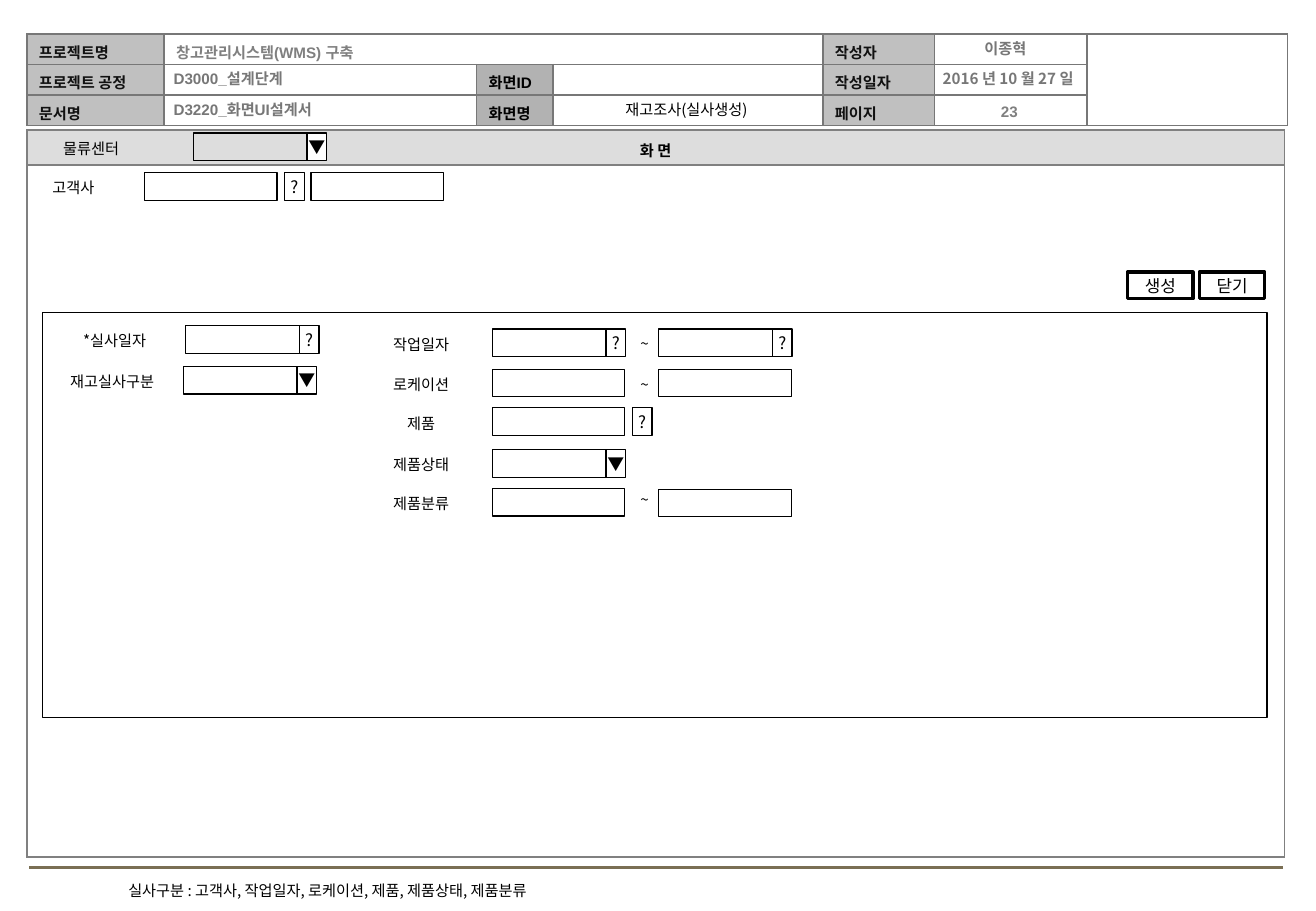
from lxml.etree import SubElement
from pptx import Presentation
from pptx.dml.color import RGBColor
from pptx.enum.shapes import MSO_CONNECTOR, MSO_SHAPE
from pptx.enum.text import MSO_ANCHOR, MSO_AUTO_SIZE, PP_ALIGN
from pptx.oxml import parse_xml
from pptx.oxml.ns import nsdecls, qn
from pptx.util import Cm, Pt

BLACK = RGBColor(0x00, 0x00, 0x00)
WHITE = RGBColor(0xFF, 0xFF, 0xFF)
INK = RGBColor(0x11, 0x11, 0x11)
DARK_GRAY = RGBColor(0x77, 0x77, 0x77)
GRAY = RGBColor(0x80, 0x80, 0x80)
LABEL_GRAY = RGBColor(0xC0, 0xC0, 0xC0)
SCREEN_GRAY = RGBColor(0xB2, 0xB2, 0xB2)
BAND_GRAY = RGBColor(0xDD, 0xDD, 0xDD)
BROWN = RGBColor(0x7A, 0x6F, 0x54)

KOREAN = "Noto Sans CJK KR"
LATIN = "Arial"

FIELD_WIDTH, FIELD_HEIGHT = 2.77, 0.58
LABEL_WIDTH, TEXT_HEIGHT = 2.97, 0.64
KEY_WIDTH = 0.41
KEY_INSIDE = FIELD_WIDTH - KEY_WIDTH + 0.02
KEY_OUTSIDE = 2.93
CONDITION_LEFT, RANGE_LEFT, TILDE_LEFT = 7.32, 13.77, 13.14

HEADER_COLUMNS = (2.87, 6.53, 1.6, 5.64, 2.34, 3.18, 4.19)
HEADER_CELLS = {
    (0, 0): ("프로젝트명", INK, LABEL_GRAY),
    (0, 1): ("창고관리시스템(WMS) 구축", GRAY, None),
    (0, 4): ("작성자", INK, LABEL_GRAY),
    (1, 0): ("프로젝트 공정", INK, LABEL_GRAY),
    (1, 2): ("화면ID", BLACK, SCREEN_GRAY),
    (1, 4): ("작성일자", INK, LABEL_GRAY),
    (2, 0): ("문서명", INK, LABEL_GRAY),
    (2, 2): ("화면명", BLACK, SCREEN_GRAY),
    (2, 4): ("페이지", INK, LABEL_GRAY),
}
# text, left, top, width, alignment, font, colour
HEADER_TEXTS = (
    ("D3000_설계단계", 3.38, 1.32, 13.77, PP_ALIGN.LEFT, LATIN, DARK_GRAY),
    ("D3220_화면UI설계서", 3.38, 1.98, 13.74, PP_ALIGN.LEFT, LATIN, DARK_GRAY),
    ("이종혁", 19.02, 0.69, 3.99, PP_ALIGN.CENTER, KOREAN, DARK_GRAY),
    ("2016 년 10 월 27 일", 19.08, 1.32, 3.99, PP_ALIGN.CENTER, KOREAN, DARK_GRAY),
    ("23", 19.51, 2.01, 3.18, PP_ALIGN.CENTER, LATIN, GRAY),
)
# label, left, top, key, key offset from the field
FIELDS = (
    ("물류센터", 1.07, 2.78, "▼", KEY_INSIDE),
    ("고객사", 0.05, 3.61, "?", KEY_OUTSIDE),
    ("*실사일자", 0.91, 6.81, "?", KEY_INSIDE),
    ("재고실사구분", 0.86, 7.66, "▼", KEY_INSIDE),
    ("작업일자", CONDITION_LEFT, 6.88, "?", KEY_INSIDE),
    ("로케이션", CONDITION_LEFT, 7.72, None, 0),
    ("제품", CONDITION_LEFT, 8.53, "?", KEY_OUTSIDE),
    ("제품상태", CONDITION_LEFT, 9.4, "▼", KEY_INSIDE),
    ("제품분류", CONDITION_LEFT, 10.21, None, 0),
)
# top of the end field, top of the tilde
RANGES = ((6.88, 6.86), (7.72, 7.72), (10.23, 10.13))


def write(frame, text, size=9, color=BLACK, font=KOREAN, bold=False, align=PP_ALIGN.CENTER):
    frame.text = text
    para = frame.paragraphs[0]
    para.alignment = align
    for span in para.runs:
        span.font.size = Pt(size)
        span.font.bold = bold
        span.font.color.rgb = color
        span.font.name = font
        SubElement(span.font._element, qn("a:ea"), typeface=KOREAN)


def add_text(page, text, left, top, width, **style):
    box = page.shapes.add_textbox(Cm(left), Cm(top), Cm(width), Cm(TEXT_HEIGHT))
    box.text_frame.word_wrap = True
    write(box.text_frame, text, **style)


def add_box(page, left, top, width, height, line=0.75, fill=None):
    box = page.shapes.add_shape(MSO_SHAPE.RECTANGLE, Cm(left), Cm(top), Cm(width), Cm(height))
    box.shadow.inherit = False
    box.line.color.rgb = BLACK
    box.line.width = Pt(line)
    paint(box.fill, fill)
    return box


def paint(fill, color):
    if color is None:
        fill.background()
    else:
        fill.solid()
        fill.fore_color.rgb = color


def add_button(page, text, left, top, width, height, line=0.75):
    button = add_box(page, left, top, width, height, line, WHITE)
    frame = button.text_frame
    frame.word_wrap = False
    frame.vertical_anchor = MSO_ANCHOR.MIDDLE
    frame.margin_left = frame.margin_right = Cm(0.05)
    frame.margin_top = frame.margin_bottom = Cm(0.1)
    write(frame, text, size=10)


def add_input(page, left, top):
    add_box(page, left, top, FIELD_WIDTH, FIELD_HEIGHT)


def add_field(page, label, left, top, key, key_offset):
    """Add a label, its input box and, if any, its lookup key."""
    align = PP_ALIGN.LEFT if label == "물류센터" else PP_ALIGN.CENTER
    add_text(page, label, left, top, LABEL_WIDTH, align=align)
    field_left = left + LABEL_WIDTH
    add_input(page, field_left, top)
    if key:
        add_button(page, key, field_left + key_offset, top, KEY_WIDTH, FIELD_HEIGHT)


def add_grid(page, left, top, columns, rows):
    frame = page.shapes.add_table(len(rows), len(columns), Cm(left), Cm(top),
                                  Cm(sum(columns)), Cm(sum(rows)))
    table = frame.table
    table.first_row = table.horz_banding = False
    for column, width in zip(table.columns, columns):
        column.width = Cm(width)
    for row, height in zip(table.rows, rows):
        row.height = Cm(height)
    return table


def format_cell(cell, border, fill, text, **style):
    cell.vertical_anchor = MSO_ANCHOR.MIDDLE
    cell.margin_top, cell.margin_bottom = Cm(0.1), Cm(0)
    paint(cell.fill, fill)
    properties = cell._tc.get_or_add_tcPr()
    for index, side in enumerate("LRTB"):
        properties.insert(index, parse_xml(
            f'<a:ln{side} {nsdecls("a")} w="12700"><a:solidFill>'
            f'<a:srgbClr val="{border}"/></a:solidFill></a:ln{side}>'))
    if text:
        write(cell.text_frame, text, font=LATIN, bold=True, **style)
    else:
        SubElement(cell.text_frame.paragraphs[0]._p, qn("a:endParaRPr"), sz="900")


def add_header(page):
    table = add_grid(page, 0.56, 0.71, HEADER_COLUMNS, (0.64,) * 3)
    table.cell(0, 1).merge(table.cell(0, 3))
    table.cell(0, 6).merge(table.cell(2, 6))
    for row in range(3):
        for column in range(len(HEADER_COLUMNS)):
            text, color, fill = HEADER_CELLS.get((row, column), ("", INK, None))
            format_cell(table.cell(row, column), DARK_GRAY, fill, text,
                        color=color, align=PP_ALIGN.LEFT)
    for text, left, top, width, align, font, color in HEADER_TEXTS:
        add_text(page, text, left, top, width, align=align, font=font, color=color, bold=True)


def add_screen_area(page):
    table = add_grid(page, 0.56, 2.72, (26.29,), (0.73, 14.47))
    format_cell(table.cell(0, 0), GRAY, BAND_GRAY, "화 면")
    format_cell(table.cell(1, 0), GRAY, None, "")


def set_title(page, text):
    title = page.shapes.title
    title.left, title.top, title.width, title.height = Cm(11.58), Cm(1.98), Cm(5.54), Cm(TEXT_HEIGHT)
    title.text_frame.auto_size = MSO_AUTO_SIZE.NONE
    title.text_frame.vertical_anchor = MSO_ANCHOR.TOP
    write(title.text_frame, text)


def add_footer(page):
    rule = page.shapes.add_connector(MSO_CONNECTOR.STRAIGHT, Cm(0.61), Cm(18.14), Cm(26.82), Cm(18.14))
    rule.line.color.rgb = BROWN
    rule.line.width = Pt(1.75)
    SubElement(rule._element.spPr, qn("a:effectLst"))
    add_text(page, "실사구분 : 고객사, 작업일자, 로케이션, 제품, 제품상태, 제품분류", 1.93, 18.31, 9.83)


def main():
    deck = Presentation()
    deck.slide_width, deck.slide_height = Cm(27.51), Cm(19.05)
    page = deck.slides.add_slide(deck.slide_layouts[5])
    set_title(page, "재고조사(실사생성)")
    add_header(page)
    add_screen_area(page)
    add_footer(page)
    add_box(page, 0.89, 6.53, 25.6, 8.48)
    for text, left in (("생성", 23.57), ("닫기", 25.07)):
        add_button(page, text, left, 5.69, 1.37, 0.56, line=2)
    for field in FIELDS:
        add_field(page, *field)
    add_input(page, 6.5, 3.61)
    for top, tilde_top in RANGES:
        add_input(page, RANGE_LEFT, top)
        add_text(page, "~", TILDE_LEFT, tilde_top, 0.58)
    add_button(page, "?", RANGE_LEFT + KEY_INSIDE, RANGES[0][0], KEY_WIDTH, FIELD_HEIGHT)
    deck.save("out.pptx")


if __name__ == "__main__":
    main()
